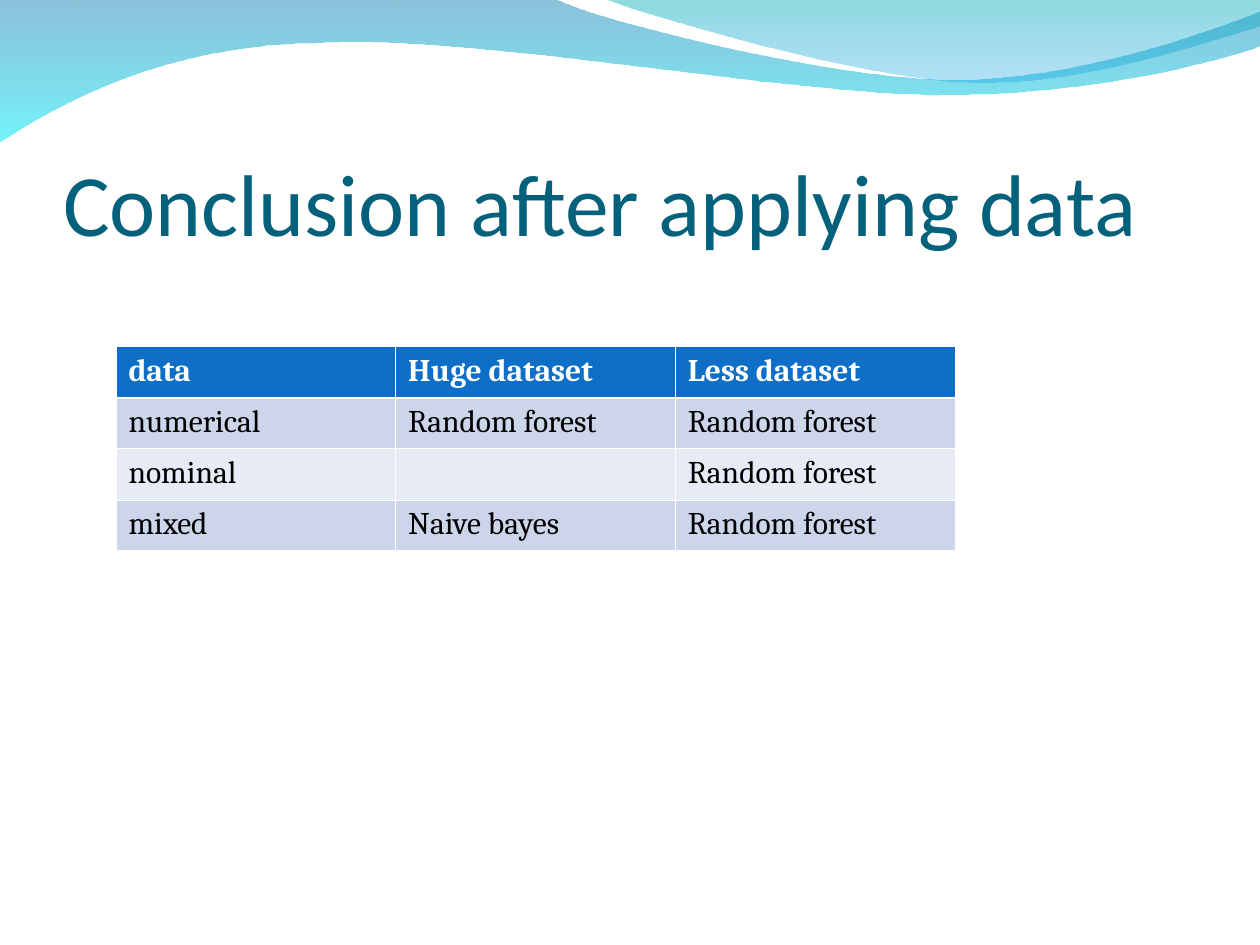
from dataclasses import dataclass

from lxml.etree import SubElement
from pptx import Presentation
from pptx.dml.color import RGBColor as Rgb
from pptx.enum.text import MSO_ANCHOR as Anchor, MSO_AUTO_SIZE as AutoSize, PP_ALIGN as Align
from pptx.oxml.ns import qn
from pptx.util import Pt

PX = 9144  # EMU per px, at 100 px to the inch
TITLE_ONLY = 5

COLORS = {
    "title": "04617B",
    "header": "0F6FC6",
    "band_dark": "CCD5EA",
    "band_light": "E7EBF5",
    "white": "FFFFFF",
    "black": "000000",
    "wave_blue": "0079AF",
    "wave_cyan": "00EBF8",
    "wave_teal": "00ADB6",
    "wave_sky": "009BE5",
}

Point = tuple[int, int]


@dataclass
class Stop:
    color: str
    opacity: int


@dataclass
class Wave:
    """A closed outline: segments of one point are lines, of three are curves."""
    start: Point
    segments: list[tuple[Point, ...]]
    stops: tuple[Stop, Stop]


WAVES = [
    Wave((0, -1), [
        ((440, -1),),
        ((476, 17), (664, 63), (758, 63)),
        ((853, 63), (958, 26), (1000, 9)),
        ((1001, 36),),
        ((983, 44), (870, 76), (746, 75)),
        ((622, 75), (382, 28), (257, 34)),
        ((129, 35), (46, 83), (-1, 113)),
    ], (Stop("wave_blue", 45), Stop("wave_cyan", 55))),
    Wave((479, -1), [
        ((509, 11), (682, 62), (769, 65)),
        ((856, 69), (961, 32), (1000, 21)),
        ((1000, 0),),
    ], (Stop("wave_teal", 45), Stop("wave_sky", 30))),
]

TITLE = "Conclusion after applying data"
TABLE_LEFT, TABLE_TOP, COLUMN_WIDTH = 92, 275, 222
ROW_HEIGHTS = [41, 40, 41, 40]
ROWS = [
    ["data", "Huge dataset", "Less dataset"],
    ["numerical", "Random forest", "Random forest"],
    ["nominal", "", "Random forest"],
    ["mixed", "Naive bayes", "Random forest"],
]
THIN, THICK = 0.45, 1.47


def rgb(name: str) -> Rgb:
    return Rgb.from_string(COLORS[name])


def set_font(font, color: str, **values) -> None:
    font.color.rgb = rgb(color)
    for name, value in values.items():
        setattr(font, name, value)


def bend_segments(shape, segments: list[tuple[Point, ...]]) -> None:
    """Turn each run of three lines that stands for a curve into one Bezier."""
    lines = iter(list(shape.element.iter(qn("a:lnTo"))))
    for segment in segments:
        first, *others = [next(lines) for _ in segment]
        if others:
            first.tag = qn("a:cubicBezTo")
            for line in others:
                first.append(line[0])
                line.getparent().remove(line)


def draw_wave(page, wave: Wave) -> None:
    builder = page.shapes.build_freeform(*wave.start, scale=PX)
    builder.add_line_segments(
        [point for segment in wave.segments for point in segment], close=True)
    shape = builder.convert_to_shape()
    bend_segments(shape, wave.segments)
    shape.shadow.inherit = False
    shape.line.fill.background()
    shape.fill.gradient()
    shape.fill.gradient_angle = 270
    for gradient_stop, stop in zip(shape.fill.gradient_stops, wave.stops):
        gradient_stop.color.rgb = rgb(stop.color)
    colors = shape.element.spPr.iter(qn("a:srgbClr"))
    for color, stop in zip(colors, wave.stops):
        SubElement(color, qn("a:alpha"), val=str(stop.opacity * 1000))


def draw_title(page) -> None:
    title = page.shapes.title
    box = {"left": 50, "top": 77, "width": 900, "height": 125}
    for name, value in box.items():
        setattr(title, name, value * PX)
    frame = title.text_frame
    layout = {"margin_left": 0, "margin_right": 0, "margin_bottom": 0,
              "margin_top": 5 * PX, "vertical_anchor": Anchor.BOTTOM,
              "auto_size": AutoSize.NONE, "word_wrap": True}
    for name, value in layout.items():
        setattr(frame, name, value)
    para = frame.paragraphs[0]
    para.alignment = Align.LEFT
    span = para.add_run()
    span.text = TITLE
    set_font(span.font, "title", name="Calibri", size=Pt(50))
    page.shapes.element.append(title.element)  # bring in front of the waves


def add_borders(cell, top: float, bottom: float) -> None:
    properties = cell._tc.get_or_add_tcPr()
    for side, width in (("L", THIN), ("R", THIN), ("T", top), ("B", bottom)):
        line = SubElement(properties, qn(f"a:ln{side}"), w=str(Pt(width)))
        fill = SubElement(line, qn("a:solidFill"))
        SubElement(fill, qn("a:srgbClr"), val=COLORS["white"])


def draw_table(page) -> None:
    columns = len(ROWS[0])
    table = page.shapes.add_table(
        len(ROWS), columns, TABLE_LEFT * PX, TABLE_TOP * PX,
        columns * COLUMN_WIDTH * PX, sum(ROW_HEIGHTS) * PX).table
    for column in table.columns:
        column.width = COLUMN_WIDTH * PX
    for index, texts in enumerate(ROWS):
        table.rows[index].height = ROW_HEIGHTS[index] * PX
        header = index == 0
        band = "header" if header else "band_dark" if index % 2 else "band_light"
        for cell, text in zip(table.rows[index].cells, texts):
            add_borders(cell, THICK if index == 1 else THIN, THICK if header else THIN)
            cell.fill.solid()
            cell.fill.fore_color.rgb = rgb(band)
            if text:
                span = cell.text_frame.paragraphs[0].add_run()
                span.text = text
                set_font(span.font, "white" if header else "black",
                         name="Cambria", size=Pt(18), bold=header)


def main() -> None:
    deck = Presentation()
    deck.slide_width, deck.slide_height = 1000 * PX, 750 * PX
    page = deck.slides.add_slide(deck.slide_layouts[TITLE_ONLY])
    for wave in WAVES:
        draw_wave(page, wave)
    draw_title(page)
    draw_table(page)
    deck.save("out.pptx")


if __name__ == "__main__":
    main()
